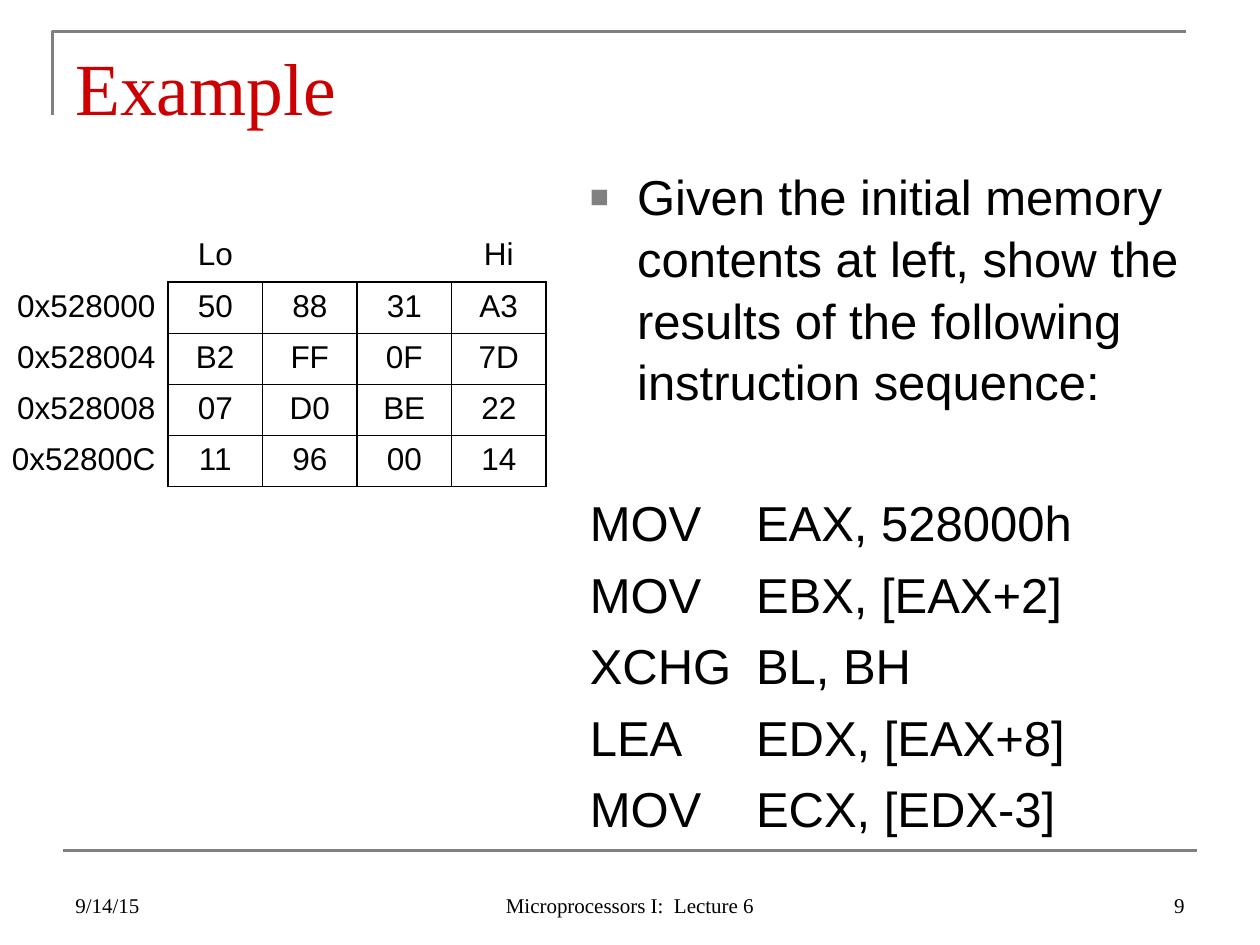
from dataclasses import dataclass

from lxml.etree import SubElement
from pptx import Presentation
from pptx.dml.color import RGBColor
from pptx.enum.shapes import MSO_CONNECTOR
from pptx.enum.text import MSO_ANCHOR, PP_ALIGN
from pptx.oxml.ns import qn
from pptx.util import Pt


@dataclass(frozen=True)
class Theme:
    black: str = "000000"
    gray: str = "808080"
    red: str = "CC0000"
    serif: str = "Times New Roman"
    sans: str = "Arial"
    title_size: float = 42
    body_size: float = 28
    table_size: float = 18
    footer_size: float = 12
    rule_width: float = 1.5
    border_width: float = 1


@dataclass(frozen=True)
class Footer:
    text: str
    left: float
    width: float
    align: PP_ALIGN


THEME = Theme()
NO_STYLE = "{2D5ABB26-0587-4C30-8999-92F81FD0307C}"

MEMORY = [
    ("", "Lo", "", "", "Hi"),
    ("0x528000", "50", "88", "31", "A3"),
    ("0x528004", "B2", "FF", "0F", "7D"),
    ("0x528008", "07", "D0", "BE", "22"),
    ("0x52800C", "11", "96", "00", "14"),
]
TASK = ("Given the initial memory contents at left, show the results "
        "of the following instruction sequence:")
INSTRUCTIONS = [
    ("MOV", "EAX, 528000h"),
    ("MOV", "EBX, [EAX+2]"),
    ("XCHG", "BL, BH"),
    ("LEA", "EDX, [EAX+8]"),
    ("MOV", "ECX, [EDX-3]"),
]
FOOTERS = [
    Footer("9/14/15", 36, 168, PP_ALIGN.LEFT),
    Footer("Microprocessors I:  Lecture 6", 246, 228, PP_ALIGN.CENTER),
    Footer("9", 516, 168, PP_ALIGN.RIGHT),
]


def add_span(para, text: str, size: float, font: str, color: str = THEME.black) -> None:
    span = para.add_run()
    span.text = text
    span.font.size = Pt(size)
    span.font.name = font
    span.font.color.rgb = RGBColor.from_string(color)


def add_box(page, left: float, top: float, width: float, height: float,
            anchor: MSO_ANCHOR = MSO_ANCHOR.TOP):
    box = page.shapes.add_textbox(Pt(left), Pt(top), Pt(width), Pt(height))
    box.text_frame.word_wrap = True
    box.text_frame.vertical_anchor = anchor
    return box.text_frame


def style_rule(line) -> None:
    line.color.rgb = RGBColor.from_string(THEME.gray)
    line.width = Pt(THEME.rule_width)


def add_rules(page) -> None:
    # Corner bracket around the title
    builder = page.shapes.build_freeform(Pt(30), Pt(66))
    builder.add_line_segments([(Pt(30), Pt(18)), (Pt(678), Pt(18))], close=False)
    bracket = builder.convert_to_shape()
    bracket.shadow.inherit = False
    bracket.fill.background()
    style_rule(bracket.line)

    # Rule above the footer
    rule = page.shapes.add_connector(MSO_CONNECTOR.STRAIGHT, Pt(36), Pt(486), Pt(684), Pt(486))
    style_rule(rule.line)
    SubElement(rule.element.spPr, qn("a:effectLst"))


def add_borders(cell, sides: list[str]) -> None:
    properties = cell._tc.get_or_add_tcPr()
    for position, side in enumerate(sides):
        border = properties.makeelement(qn(f"a:{side}"), {"w": str(Pt(THEME.border_width))})
        fill = SubElement(border, qn("a:solidFill"))
        SubElement(fill, qn("a:srgbClr"), val=THEME.black)
        properties.insert(position, border)


def add_memory_table(page) -> None:
    widths = [126, 54, 54, 54, 54]
    row_height = 29.25
    frame = page.shapes.add_table(len(MEMORY), len(widths), Pt(-30), Pt(132),
                                  Pt(sum(widths)), Pt(row_height * len(MEMORY)))
    table = frame.table
    table.first_row = table.horz_banding = False
    table._tbl.tblPr.find(qn("a:tableStyleId")).text = NO_STYLE
    for column, width in zip(table.columns, widths):
        column.width = Pt(width)
    for row_index, values in enumerate(MEMORY):
        table.rows[row_index].height = Pt(row_height)
        for column_index, value in enumerate(values):
            cell = table.cell(row_index, column_index)
            cell.fill.background()
            para = cell.text_frame.paragraphs[0]
            para.alignment = PP_ALIGN.CENTER if column_index else PP_ALIGN.RIGHT
            para.font.size = Pt(THEME.table_size)
            if value:
                add_span(para, value, THEME.table_size, THEME.sans)
            # Only the byte cells are ruled
            if row_index and column_index:
                add_borders(cell, ["lnL", "lnR", "lnT", "lnB"])
            elif row_index:
                add_borders(cell, ["lnR"])
            elif column_index:
                add_borders(cell, ["lnB"])


def add_bullet(para) -> None:
    properties = para._p.get_or_add_pPr()
    properties.set("marL", str(Pt(27)))
    properties.set("indent", str(Pt(-27)))
    color = SubElement(properties, qn("a:buClr"))
    SubElement(color, qn("a:srgbClr"), val=THEME.gray)
    SubElement(properties, qn("a:buSzPct"), val="65000")
    SubElement(properties, qn("a:buFont"), typeface=THEME.sans)
    SubElement(properties, qn("a:buChar"), char="■")


def add_body(page) -> None:
    frame = add_box(page, 330, 90, 354, 392.4)
    para = frame.paragraphs[0]
    add_bullet(para)
    para.line_spacing = 1.05
    add_span(para, TASK, THEME.body_size, THEME.sans)

    # Instructions, with operands lined up on a tab stop
    for index, (mnemonic, operands) in enumerate(INSTRUCTIONS):
        para = frame.add_paragraph()
        tabs = SubElement(para._p.get_or_add_pPr(), qn("a:tabLst"))
        SubElement(tabs, qn("a:tab"), pos=str(Pt(95)), algn="l")
        para.line_spacing = 1.05
        para.space_before = Pt(5.6 if index else 45)
        add_span(para, f"{mnemonic}\t{operands}", THEME.body_size, THEME.sans)


def add_footer(page, footer: Footer) -> None:
    frame = add_box(page, footer.left, 492, footer.width, 36, MSO_ANCHOR.BOTTOM)
    para = frame.paragraphs[0]
    para.alignment = footer.align
    add_span(para, footer.text, THEME.footer_size, THEME.serif)


def main() -> None:
    deck = Presentation()
    deck.slide_width, deck.slide_height = Pt(720), Pt(540)
    page = deck.slides.add_slide(deck.slide_layouts[6])

    add_rules(page)
    title = add_box(page, 36, 21.6, 648, 56.2, MSO_ANCHOR.BOTTOM)
    add_span(title.paragraphs[0], "Example", THEME.title_size, THEME.serif, THEME.red)
    add_memory_table(page)
    add_body(page)
    for footer in FOOTERS:
        add_footer(page, footer)

    deck.save("out.pptx")


if __name__ == "__main__":
    main()
